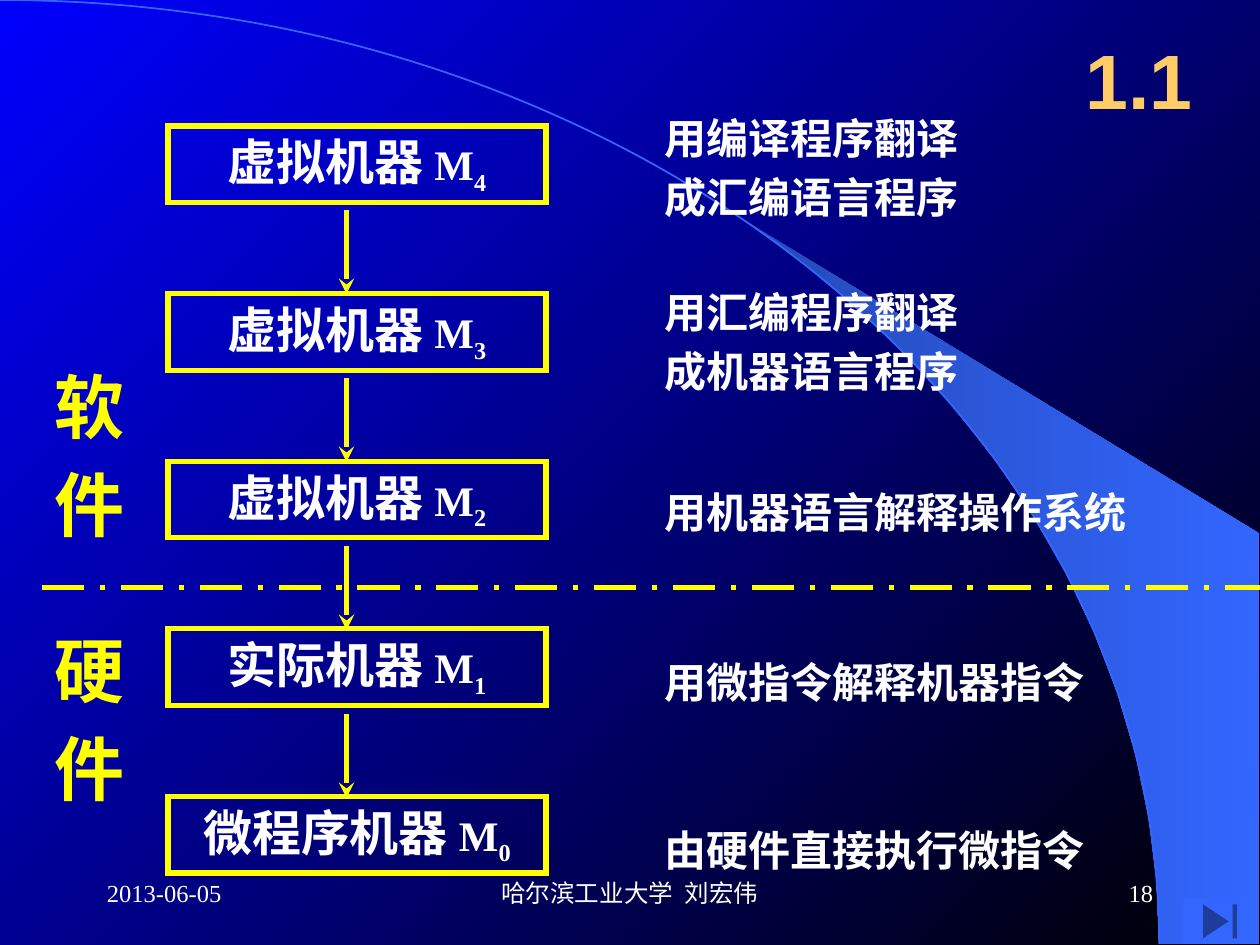
"""Build a slide on the levels of a computer system, from software to hardware."""
from math import cos, pi, sin

from lxml.etree import SubElement
from pptx import Presentation
from pptx.dml.color import RGBColor
from pptx.enum.dml import MSO_LINE
from pptx.enum.shapes import MSO_CONNECTOR, MSO_SHAPE
from pptx.enum.text import MSO_ANCHOR, PP_ALIGN
from pptx.oxml.ns import qn
from pptx.util import Inches, Pt

COLORS = {
    "blue": "0000FF", "black": "000000", "white": "FFFFFF", "yellow": "FFFF00",
    "gold": "FFCC66", "sky": "3366FF", "deep": "2449B6",
}
CJK = "Noto Sans CJK SC"
SERIF = "Times New Roman"
COLUMNS_PER_INCH = 12
ARC_WIDTH, ARC_HEIGHT = 110.4, 89.9
FORMATS = {
    "title": {"name": "Arial", "size": Pt(44), "bold": True, "color": "gold"},
    "label": {"name": CJK, "size": Pt(40), "bold": True, "color": "yellow"},
    "machine": {"name": CJK, "size": Pt(28), "bold": True, "color": "white"},
    "symbol": {"name": SERIF, "size": Pt(24), "bold": True, "color": "white"},
    "note": {"name": CJK, "size": Pt(24), "bold": True, "color": "white"},
    "footer": {"name": SERIF, "size": Pt(14), "bold": False, "color": "white"},
}
MACHINES = ["虚拟机器", "虚拟机器", "虚拟机器", "实际机器", "微程序机器"]
NOTES = [
    (10.1, 30.6, ["用编译程序翻译", "成汇编语言程序"]),
    (26.7, 30.6, ["用汇编程序翻译", "成机器语言程序"]),
    (45.7, 46.6, ["用机器语言解释操作系统"]),
    (61.9, 42.6, ["用微指令解释机器指令"]),
    (77.9, 42.6, ["由硬件直接执行微指令"]),
]
LABELS = [(34, ["软", "件"]), (59.2, ["硬", "件"])]
FOOTERS = [
    (9, 25, PP_ALIGN.LEFT, ["2013-06-05"]),
    (86, 25, PP_ALIGN.RIGHT, ["18"]),
    (41, 38, PP_ALIGN.CENTER, ["哈尔滨工业大学", "刘宏伟"]),
]


def grid(*cells):
    """Turn grid columns or rows into lengths."""
    return [Inches(cell / COLUMNS_PER_INCH) for cell in cells]


def rgb(color):
    """Look up a named colour."""
    return RGBColor.from_string(COLORS[color])


def set_gradient(fill, colors, angle):
    """Give a fill a two-stop linear gradient."""
    fill.gradient()
    fill.gradient_angle = angle
    for stop, color in zip(fill.gradient_stops, colors):
        stop.color.rgb = rgb(color)


def set_line(line, color, width):
    """Set the colour and width of a line."""
    line.color.rgb = rgb(color)
    line.width = Pt(width)


def add_span(para, text, style, spacing=0, baseline=0):
    """Add a formatted run to a paragraph."""
    span = para.add_run()
    span.text = text
    for attribute, value in FORMATS[style].items():
        if attribute == "color":
            span.font.color.rgb = rgb(value)
        else:
            setattr(span.font, attribute, value)
    properties = span.font._element
    SubElement(properties, qn("a:ea")).set("typeface", CJK)
    for attribute, value in {"spc": spacing, "baseline": baseline}.items():
        if value:
            properties.set(attribute, str(value))


def add_text_box(slide, place, anchor=MSO_ANCHOR.TOP, wrap=True):
    """Add an empty text box and return it."""
    box = slide.shapes.add_textbox(*grid(*place))
    box.text_frame.word_wrap = wrap
    box.text_frame.vertical_anchor = anchor
    return box


def add_lines(slide, place, lines, style):
    """Add centred lines of text, one paragraph each."""
    size = FORMATS[style]["size"]
    frame = add_text_box(slide, place, wrap=False).text_frame
    for index, text in enumerate(lines):
        para = frame.add_paragraph() if index else frame.paragraphs[0]
        para.alignment = PP_ALIGN.CENTER
        para.line_spacing = Pt(size.pt * 1.2)
        para.space_before = Pt(size.pt * 0.2 if index else 0)
        add_span(para, text, style)


def add_footer(slide, left, width, alignment, parts):
    """Add one footer text whose parts stand a wide space apart."""
    box = add_text_box(slide, (left, 82, width, 6), MSO_ANCHOR.MIDDLE)
    para = box.text_frame.paragraphs[0]
    para.alignment = alignment
    for index, part in enumerate(parts):
        if index:
            add_span(para, " ", "footer", spacing=350)
        add_span(para, part, "footer")


def add_machine(slide, row, name, number):
    """Add an outlined box that names one machine level."""
    box = slide.shapes.add_shape(MSO_SHAPE.RECTANGLE, *grid(16, row, 36, 7.3))
    box.shadow.inherit = False
    box.fill.background()
    set_line(box.line, "yellow", 3)
    SubElement(box.line._get_or_add_ln(), qn("a:miter")).set("lim", "800000")
    frame = box.text_frame
    frame.word_wrap = True
    frame.vertical_anchor = MSO_ANCHOR.MIDDLE
    frame.margin_top = Inches(0.09)
    para = frame.paragraphs[0]
    para.alignment = PP_ALIGN.CENTER
    para.line_spacing = Pt(33.6)
    add_span(para, name + " ", "machine")
    add_span(para, "M", "symbol")
    add_span(para, str(number), "symbol", baseline=-25000)


def add_line(slide, ends, arrow=False):
    """Add a yellow line, as a solid arrow or a dash-dot divider."""
    line = slide.shapes.add_connector(MSO_CONNECTOR.STRAIGHT, *grid(*ends))
    set_line(line.line, "yellow", 3)
    if arrow:
        SubElement(line.line._get_or_add_ln(), qn("a:tailEnd")).set("type", "stealth")
    else:
        line.line.dash_style = MSO_LINE.LONG_DASH_DOT
    SubElement(line._element.spPr, qn("a:effectLst"))


def add_outline(slide, points, close):
    """Add a freeform through the given points."""
    builder = slide.shapes.build_freeform(*points[0])
    builder.add_line_segments(points[1:], close=close)
    shape = builder.convert_to_shape()
    shape.shadow.inherit = False
    return shape


def add_crescent(slide, start=0.695, steps=13):
    """Add the gradient area between the arc and the right edge."""
    angles = [start + (pi / 2 - start) * step / steps for step in range(steps + 1)]
    points = [grid(ARC_WIDTH * sin(angle), ARC_HEIGHT * (1 - cos(angle))) for angle in angles]
    corners = [grid(119.9, ARC_HEIGHT), grid(119.9, 50.8)]
    crescent = add_outline(slide, points + corners, True)
    set_gradient(crescent.fill, ("deep", "sky"), 0)
    crescent.line.fill.background()


def add_arc(slide):
    """Add the quarter ellipse as a single curve."""
    arc = add_outline(slide, [grid(0, 0), grid(ARC_WIDTH, ARC_HEIGHT)], False)
    segment = next(arc._element.iter(qn("a:lnTo")))
    segment.tag = qn("a:cubicBezTo")
    segment.clear()
    for column, row in ((0.552, 0), (1, 0.448), (1, 1)):
        point = SubElement(segment, qn("a:pt"))
        point.set("x", str(int(arc.width * column)))
        point.set("y", str(int(arc.height * row)))
    arc.fill.background()
    set_line(arc.line, "sky", 1)


def add_title(slide, text):
    """Move and fill the title placeholder."""
    title = slide.shapes.title
    title.left, title.top, title.width, title.height = grid(101, 2, 15, 11)
    title.text_frame.vertical_anchor = MSO_ANCHOR.MIDDLE
    para = title.text_frame.paragraphs[0]
    para.alignment = PP_ALIGN.CENTER
    add_span(para, text, "title")


def add_end_button(slide):
    """Add the button in the lower right corner."""
    button = slide.shapes.add_shape(MSO_SHAPE.ACTION_BUTTON_END, *grid(112.7, 85.6, 7, 4.3))
    button.shadow.inherit = False
    button.fill.solid()
    button.fill.fore_color.rgb = rgb("sky")
    button.line.fill.background()


def main():
    """Build and save the deck."""
    deck = Presentation()
    deck.slide_width, deck.slide_height = Inches(10), Inches(7.5)
    slide = deck.slides.add_slide(deck.slide_layouts[5])
    set_gradient(slide.background.fill, ("blue", "black"), 315)
    add_crescent(slide)
    add_arc(slide)
    add_title(slide, "1.1")
    for row, width, lines in NOTES:
        add_lines(slide, (62, row, width, 6 * len(lines)), lines, "note")
    add_line(slide, (4, 55.92, 120, 55.92))
    for row, lines in LABELS:
        add_lines(slide, (4, row, 9.1, 18.8), lines, "label")
    for level, name in enumerate(MACHINES):
        number = len(MACHINES) - 1 - level
        add_machine(slide, 12 + 15.96 * level, name, number)
        if number:
            add_line(slide, (33, 20 + 16 * level, 33, 28 + 16 * level), arrow=True)
    add_end_button(slide)
    for footer in FOOTERS:
        add_footer(slide, *footer)
    deck.save("out.pptx")


main()
